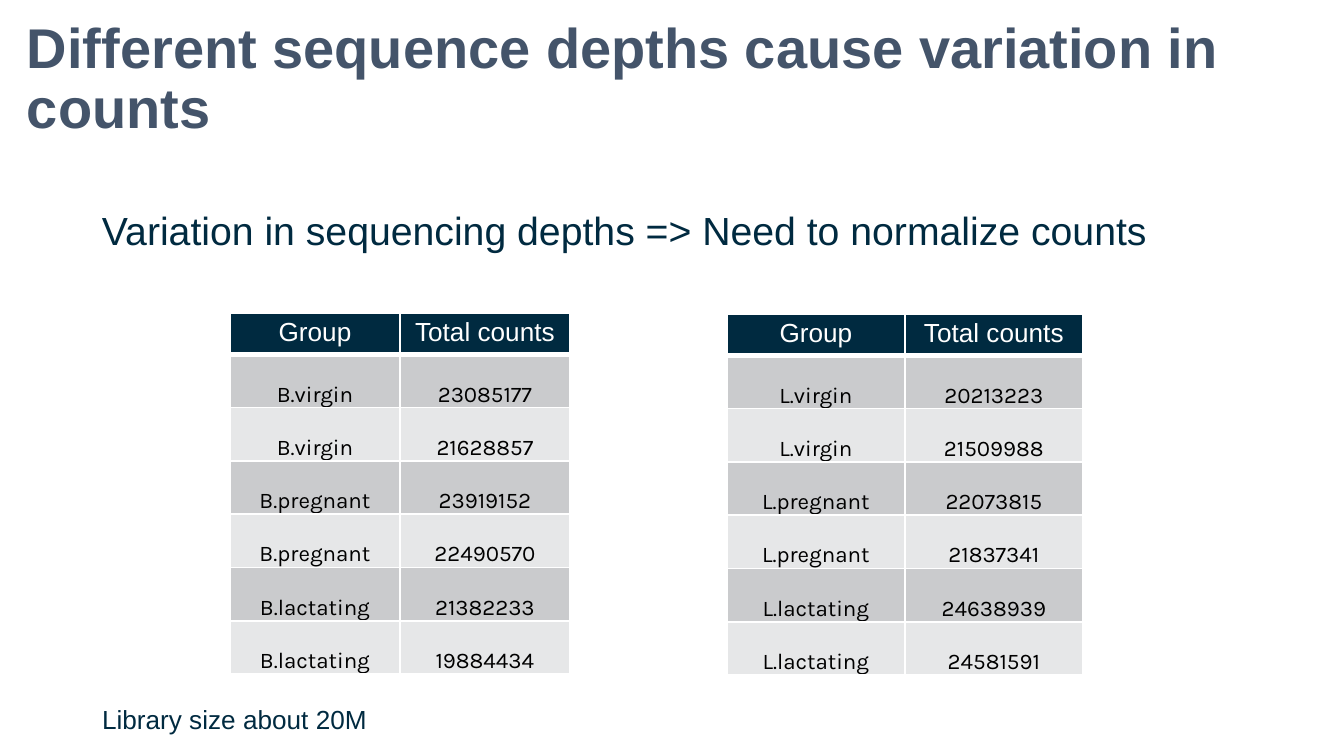
from dataclasses import dataclass

from lxml.etree import SubElement
from pptx import Presentation
from pptx.dml.color import RGBColor
from pptx.enum.text import MSO_ANCHOR, PP_ALIGN
from pptx.oxml.ns import qn
from pptx.util import Emu, Pt

SCALE = 914400 / 134.4
NAVY = RGBColor(0x00, 0x2A, 0x40)
SLATE = RGBColor(0x44, 0x54, 0x6A)
WHITE = RGBColor(0xFF, 0xFF, 0xFF)
BLACK = RGBColor(0x00, 0x00, 0x00)
BANDS = (RGBColor(0xCA, 0xCB, 0xCD), RGBColor(0xE6, 0xE7, 0xE8))
HEADER = ("Group", "Total counts")
BODY_HEIGHT = 320


@dataclass(frozen=True)
class Box:
    left: int
    top: int
    width: int
    height: int


@dataclass(frozen=True)
class Counts:
    box: Box
    rows: tuple[tuple[str, str], ...]


TABLES = (
    Counts(Box(230, 313, 340, 361), (
        ("B.virgin", "23085177"),
        ("B.virgin", "21628857"),
        ("B.pregnant", "23919152"),
        ("B.pregnant", "22490570"),
        ("B.lactating", "21382233"),
        ("B.lactating", "19884434"),
    )),
    Counts(Box(727, 314, 356, 360), (
        ("L.virgin", "20213223"),
        ("L.virgin", "21509988"),
        ("L.pregnant", "22073815"),
        ("L.pregnant", "21837341"),
        ("L.lactating", "24638939"),
        ("L.lactating", "24581591"),
    )),
)


def px(value: float) -> Emu:
    return Emu(round(value * SCALE))


def place(box: Box) -> tuple[Emu, Emu, Emu, Emu]:
    return px(box.left), px(box.top), px(box.width), px(box.height)


def write(frame, text: str, *, size: int, color: RGBColor, font: str = "Arial",
          bold: bool = False, align=PP_ALIGN.LEFT, spacing: float = 1.0) -> None:
    line = frame.paragraphs[0]
    line.alignment = align
    line.line_spacing = spacing
    run = line.add_run()
    run.text = text
    run.font.name = font
    run.font.size = Pt(size)
    run.font.bold = bold
    run.font.color.rgb = color


def add_text(slide, box: Box, text: str, *, inset: tuple[int, int] = (9, 5),
             **style) -> None:
    frame = slide.shapes.add_textbox(*place(box)).text_frame
    frame.word_wrap = True
    frame.margin_left = frame.margin_right = px(inset[0])
    frame.margin_top = frame.margin_bottom = px(inset[1])
    write(frame, text, **style)


def add_border(cell, side: str, width: int) -> None:
    line = SubElement(cell._tc.get_or_add_tcPr(), qn(f"a:ln{side}"), w=str(Pt(width)))
    fill = SubElement(line, qn("a:solidFill"))
    SubElement(fill, qn("a:srgbClr"), val=str(WHITE))


def fill_cell(cell, text: str, row: int) -> None:
    head = row == 0
    widths = {"L": 1, "R": 1, "T": 3 if row == 1 else 1, "B": 3 if head else 1}
    for side, width in widths.items():
        add_border(cell, side, width)
    cell.fill.solid()
    cell.fill.fore_color.rgb = NAVY if head else BANDS[(row - 1) % 2]
    cell.vertical_anchor = MSO_ANCHOR.TOP if head else MSO_ANCHOR.BOTTOM
    cell.margin_left = cell.margin_right = px(10 if head else 1)
    cell.margin_top = px(5 if head else 1)
    cell.margin_bottom = px(5 if head else 0)
    write(cell.text_frame, text, size=14 if head else 12,
          color=WHITE if head else BLACK, font="Arial" if head else "Karla",
          align=PP_ALIGN.CENTER)


def add_counts(slide, counts: Counts) -> None:
    rows = (HEADER, *counts.rows)
    table = slide.shapes.add_table(len(rows), len(HEADER), *place(counts.box)).table
    for column in table.columns:
        column.width = px(counts.box.width / len(HEADER))
    for index, values in enumerate(rows):
        table.rows[index].height = px(
            BODY_HEIGHT / len(counts.rows) if index else counts.box.height - BODY_HEIGHT)
        for column, value in enumerate(values):
            fill_cell(table.cell(index, column), value, index)


def main() -> None:
    deck = Presentation()
    deck.slide_width, deck.slide_height = px(1344), px(756)
    slide = deck.slides.add_slide(deck.slide_layouts[6])
    add_text(slide, Box(27, 20, 1317, 109),
             "Different sequence depths cause variation in counts",
             inset=(0, 0), size=30, color=SLATE, bold=True, spacing=0.9)
    add_text(slide, Box(93, 207, 1159, 43),
             "Variation in sequencing depths => Need to normalize counts",
             size=21, color=NAVY, spacing=0.9)
    for counts in TABLES:
        add_counts(slide, counts)
    add_text(slide, Box(93, 698, 497, 42), "Library size about 20M", size=14, color=NAVY)
    deck.save("out.pptx")


if __name__ == "__main__":
    main()
